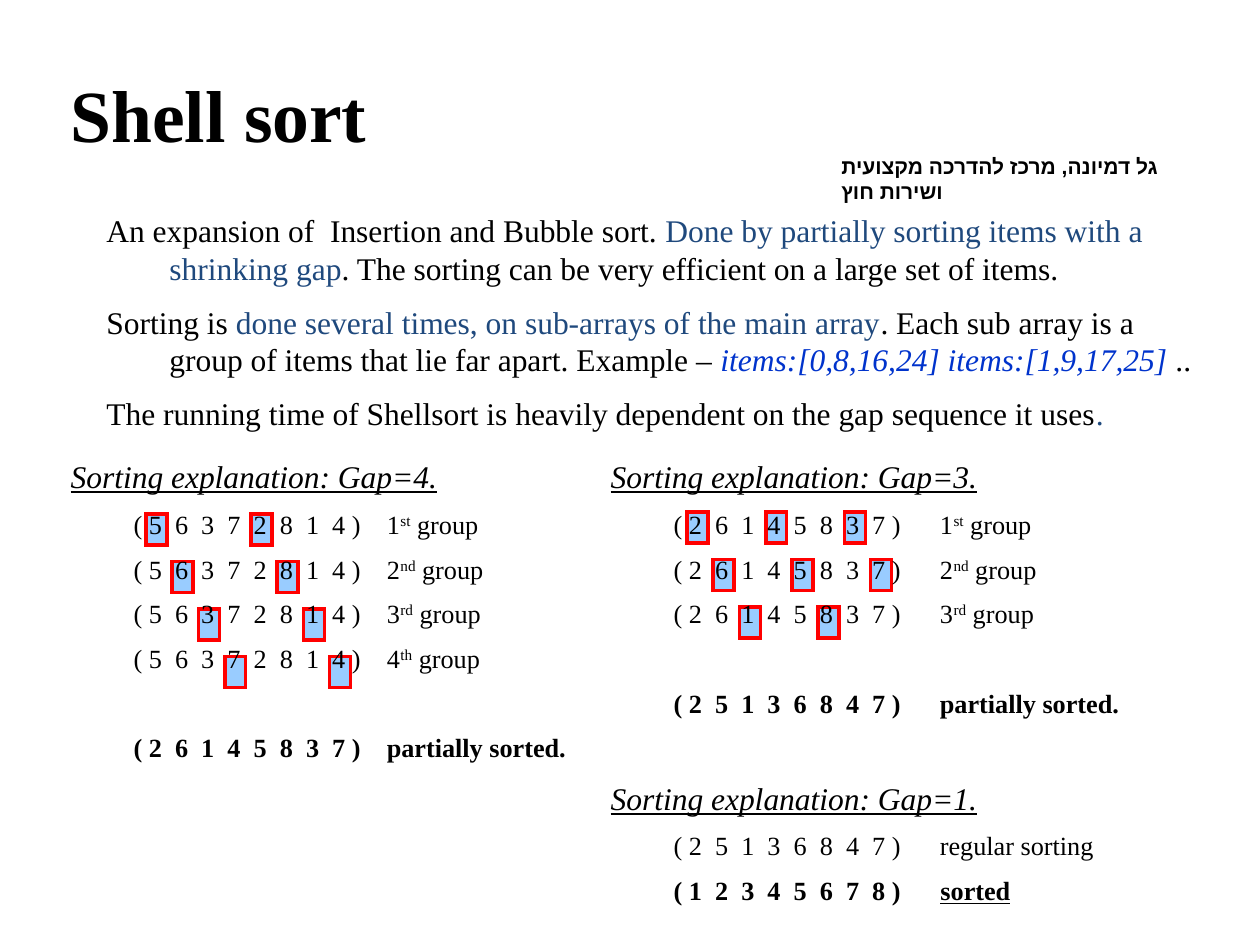
from lxml import etree
from pptx import Presentation
from pptx.dml.color import RGBColor
from pptx.enum.shapes import MSO_SHAPE
from pptx.enum.text import MSO_ANCHOR, MSO_AUTO_SIZE, PP_ALIGN
from pptx.oxml.ns import qn
from pptx.util import Emu, Pt

RECT = MSO_SHAPE.RECTANGLE
TOP, BOTTOM = MSO_ANCHOR.TOP, MSO_ANCHOR.BOTTOM
FIXED = MSO_AUTO_SIZE.NONE
LEFT = PP_ALIGN.LEFT
SCALE = 914400 / 126  # EMU per px

# Content
SERIF, SANS = "Times New Roman", "Arial"
BLACK, NAVY, BLUE, SKY, RED = "000000", "1F497D", "0033CC", "99CCFF", "FF0000"
TITLE = "Shell sort"
SCHOOL = "גל דמיונה, מרכז להדרכה מקצועית ושירות חוץ"
INTRO = [
    [("An expansion of  Insertion and Bubble sort. ", {}),
     ("Done by partially sorting items with a shrinking gap", {"color": NAVY}),
     (". The sorting can be very efficient on a large set of items.", {})],
    [("Sorting is ", {}),
     ("done several times, on sub-arrays of the main array", {"color": NAVY}),
     (". Each sub array is a group of items that lie far apart. Example – ", {}),
     ("items:[0,8,16,24] items:[1,9,17,25]", {"color": BLUE, "italic": True}),
     (" ..", {})],
    [("The running time of Shellsort is heavily dependent on the gap sequence it uses", {}),
     (".", {"color": NAVY})],
]
ORDER = ["st", "nd", "rd", "th"]
# Each pass: gap, digits before, groups, digits after
FIRST = (4, "56372814", 4, "26145837")
SECOND = (3, "26145837", 3, "25136847")
LAST = ("25136847", "12345678")

# Layout in px
TITLE_BOX = (58, 63, 1166, 101)
SCHOOL_BOX = (829, 147, 387, 38)
INTRO_BOX = (94, 205, 1124, 239)
LEFT_BOX = (58, 451, 546, 382)
RIGHT_BOX = (598, 451, 557, 485)
MARK_W, MARK_H = 21, 31
PITCH, STEP = 26.25, 47.5  # between digits, between rows
HEAD, ROW = (63, -63), (102, -39)  # margin and indent


def px(n):
    return Emu(round(n * SCALE))


def rgb(text):
    return RGBColor.from_string(text)


def place(shape, box, anchor=TOP):
    shape.left, shape.top, shape.width, shape.height = map(px, box)
    frame = shape.text_frame
    frame.word_wrap = True
    frame.auto_size = FIXED
    frame.vertical_anchor = anchor
    return frame


def style(para, size, name=SERIF, bold=False):
    font = para.font
    font.size, font.name, font.bold = Pt(size), name, bold
    font.color.rgb = rgb(BLACK)


def add_para(frame, runs, size, dent, level=0, bold=False, blank=0):
    """Add a hanging paragraph; blank is extra space above, in points."""
    fresh = not frame.paragraphs[0].runs
    para = frame.paragraphs[0] if fresh else frame.add_paragraph()
    para.level, para.alignment = level, LEFT
    para.line_spacing = Pt(size * 1.2)
    para.space_before = Pt(0 if fresh else size / 2 + blank)
    para.space_after = Pt(0)
    style(para, size, bold=bold)
    props = para._p.get_or_add_pPr()
    props.set("marL", str(px(dent[0])))
    props.set("indent", str(px(dent[1])))
    props.find(qn("a:defRPr")).addprevious(etree.Element(qn("a:buNone")))
    for text, look in runs:
        run = para.add_run()
        run.text = text
        for key, value in look.items():
            if key == "color":
                run.font.color.rgb = rgb(value)
            elif key == "raised":
                run.font._element.set("baseline", "30000")
            else:
                setattr(run.font, key, value)


def add_head(frame, gap, blank=0):
    look = {"italic": True, "underline": True}
    add_para(frame, [(f"Sorting explanation: Gap={gap}.", look)], 18, HEAD, blank=blank)


def add_row(frame, digits, space, runs, bold=False, blank=0):
    start = "( " + "  ".join(digits) + " )" + " " * space
    add_para(frame, [(start, {})] + runs, 15, ROW, 1, bold, blank)


def add_pass(frame, data, space):
    gap, digits, groups, result = data
    add_head(frame, gap)
    for i in range(groups):
        label = [(str(i + 1), {}), (ORDER[i], {"raised": True}), (" group", {})]
        add_row(frame, digits, space, label)
    add_row(frame, result, space, [("partially sorted.", {})], True, 25.5)


def add_marks(slide, column, data, left, top):
    """Put a mark behind every digit of each group."""
    gap, digits, groups, _ = data
    for row in range(groups):
        for i in range(row, len(digits), gap):
            box = (left + i * PITCH, top + row * STEP, MARK_W, MARK_H)
            mark = slide.shapes.add_shape(RECT, *map(px, box))
            mark.shadow.inherit = False
            mark.fill.solid()
            mark.fill.fore_color.rgb = rgb(SKY)
            mark.line.color.rgb = rgb(RED)
            mark.line.width = Pt(2)
            # Sharp corners
            edge = mark._element.spPr.find(qn("a:ln"))
            etree.SubElement(edge, qn("a:miter"), lim="800000")
            column._element.addprevious(mark._element)


def main():
    deck = Presentation()
    deck.slide_width, deck.slide_height = px(1260), px(945)
    slide = deck.slides.add_slide(deck.slide_layouts[3])
    title, first, second = slide.placeholders

    # Title
    para = place(title, TITLE_BOX, BOTTOM).paragraphs[0]
    para.text, para.alignment = TITLE, LEFT
    style(para, 42, bold=True)

    # School name, right to left
    frame = place(slide.shapes.add_textbox(0, 0, 0, 0), SCHOOL_BOX)
    para = frame.paragraphs[0]
    para.text = SCHOOL
    style(para, 12, SANS, True)
    props = para._p.get_or_add_pPr()
    props.set("rtl", "1")
    etree.SubElement(props.find(qn("a:defRPr")), qn("a:cs"), typeface=SANS)

    # Introduction
    frame = place(slide.shapes.add_textbox(0, 0, 0, 0), INTRO_BOX)
    for runs in INTRO:
        add_para(frame, runs, 18, HEAD)

    # Sorting passes
    add_pass(place(first, LEFT_BOX), FIRST, 4)
    frame = place(second, RIGHT_BOX)
    add_pass(frame, SECOND, 6)
    add_head(frame, 1, 25.5)
    add_row(frame, LAST[0], 6, [("regular sorting", {})])
    add_row(frame, LAST[1], 6, [("sorted", {"underline": True})], True)

    # Marks behind the digits
    add_marks(slide, first, FIRST, 146, 514)
    add_marks(slide, second, SECOND, 687, 512)
    deck.save("out.pptx")


if __name__ == "__main__":
    main()
